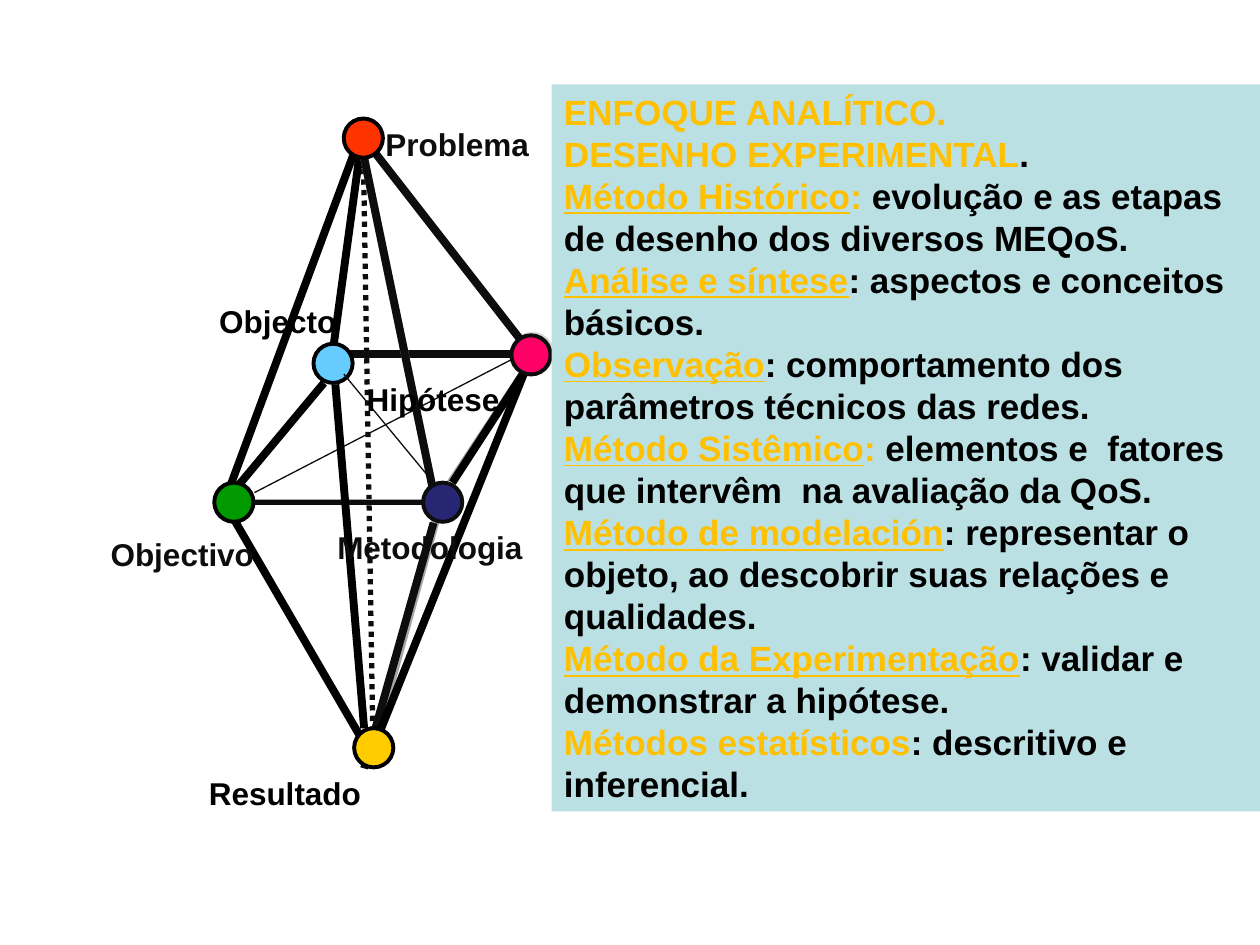
from typing import NamedTuple

from lxml.etree import SubElement
from pptx import Presentation
from pptx.dml.color import RGBColor
from pptx.enum.dml import MSO_LINE_DASH_STYLE as Dash
from pptx.enum.shapes import MSO_CONNECTOR, MSO_SHAPE
from pptx.enum.text import MSO_ANCHOR, MSO_AUTO_SIZE, PP_ALIGN
from pptx.oxml.ns import qn
from pptx.util import Cm, Pt

Point = tuple[float, float]

BLACK, INK, GREY, GOLD = "000000", "0D0D0D", "A6A6A6", "FFC000"
FONT = "Arial"
NODE_SIZE = 0.79
LABEL_HEIGHT = 1.02

# Vertices of the double pyramid, in centimetres
APEX = (7.32, 2.59)
PROBLEM = (7.32, 2.77)
PROBLEM_FOOT = (7.34, 3.18)
HYPOTHESIS = (10.72, 7.14)
OBJECTIVE = (4.52, 10.13)
METHODOLOGY = (8.74, 9.93)
RESULT = (7.52, 15.09)


class Edge(NamedTuple):
    start: Point
    end: Point
    color: str = BLACK
    width: float = 4.5
    dash: Dash | None = None


class Node(NamedTuple):
    left: float
    top: float
    fill: str
    outline: str = BLACK


class Label(NamedTuple):
    text: str
    left: float
    top: float
    width: float
    color: str = BLACK


class Method(NamedTuple):
    heading: str
    body: str
    mark: str = ""
    underline: bool = True


# From back to front
DIAGRAM = [
    Label("Problema", 7.52, 2.39, 3.81, INK),
    Edge(APEX, (6.73, 6.93)),
    Edge((6.93, 7.14), HYPOTHESIS, INK),
    Edge((6.53, 7.72), OBJECTIVE),
    Edge(HYPOTHESIS, (8.74, 10.13), GREY, 0.75),
    Edge(APEX, OBJECTIVE),
    Edge(PROBLEM, HYPOTHESIS, GREY),
    Edge(OBJECTIVE, (7.52, 15.29)),
    Edge(PROBLEM, RESULT, INK, 3, Dash.ROUND_DOT),
    Label("Objectivo", 1.98, 10.67, 3.63, INK),
    Label("Objecto", 4.17, 5.97, 3.4),
    Label("Resultado", 3.96, 15.47, 3.99),
    Edge((8.89, 10.11), RESULT, GREY),
    Edge(PROBLEM_FOOT, METHODOLOGY, GREY),
    Node(6.32, 6.93, "66CCFF"),
    Edge((5.13, 9.93), (10.52, 7.14), INK, 0.75),
    Edge((4.37, 10.11), (8.76, 10.11), GREY, 3),
    Edge((6.93, 7.54), (8.74, 9.73), INK, 0.75),
    Node(4.32, 9.73, "009900"),
    Node(10.34, 6.73, "FFFFFF", "D9D9D9"),
    Edge((10.54, 7.54), (9.12, 9.73)),
    Edge((5.13, 10.13), (8.53, 10.13), INK, 3),
    Edge(PROBLEM_FOOT, METHODOLOGY, INK),
    Edge(PROBLEM, HYPOTHESIS, INK),
    Node(6.93, 2.39, "FF3300"),
    Node(8.53, 9.73, "262673", INK),
    Edge((8.74, 10.54), (7.34, 15.49), INK),
    Edge(HYPOTHESIS, RESULT),
    Node(10.31, 6.76, "FF0066", INK),
    Node(7.14, 14.68, "FFCC00"),
    Edge((6.76, 7.75), (7.34, 14.68)),
    Label("Hipótese", 7.14, 7.54, 3.81),
    Label("Metodologia", 6.55, 10.52, 4.57, INK),
]

METHODS = [
    Method("ENFOQUE ANALÍTICO.", "", underline=False),
    Method("DESENHO EXPERIMENTAL", ".", underline=False),
    Method("Método Histórico", "evolução e as etapas de desenho dos diversos MEQoS.", ": "),
    Method("Análise e síntese", ": aspectos e conceitos básicos."),
    Method("Observação", ": comportamento dos parâmetros técnicos das redes."),
    Method("Método Sistêmico",
           "elementos e  fatores que intervêm  na avaliação da QoS.", ": "),
    Method("Método de modelación",
           ": representar o objeto, ao descobrir suas relações e qualidades."),
    Method("Método da Experimentação", ": validar e demonstrar a hipótese."),
    Method("Métodos estatísticos", ": descritivo e inferencial.", underline=False),
]


def paint(color_format, value: str) -> None:
    color_format.rgb = RGBColor.from_string(value)


def style_font(font, size: float, color: str, underline: bool = False) -> None:
    font.name, font.size, font.bold = FONT, Pt(size), True
    font.underline = underline
    paint(font.color, color)


def draw_edge(slide, edge: Edge) -> None:
    connector = slide.shapes.add_connector(
        MSO_CONNECTOR.STRAIGHT, *map(Cm, edge.start + edge.end))
    connector.line.width = Pt(edge.width)
    paint(connector.line.color, edge.color)
    if edge.dash is not None:
        connector.line.dash_style = edge.dash
    SubElement(connector._element.spPr, qn("a:effectLst"))


def draw_node(slide, node: Node) -> None:
    circle = slide.shapes.add_shape(
        MSO_SHAPE.OVAL, Cm(node.left), Cm(node.top), Cm(NODE_SIZE), Cm(NODE_SIZE))
    circle.shadow.inherit = False
    circle.fill.solid()
    paint(circle.fill.fore_color, node.fill)
    circle.line.width = Pt(2.25)
    paint(circle.line.color, node.outline)


def draw_label(slide, label: Label) -> None:
    box = slide.shapes.add_textbox(
        Cm(label.left), Cm(label.top), Cm(label.width), Cm(LABEL_HEIGHT))
    text_frame = box.text_frame
    text_frame.word_wrap = True
    text_frame.text = label.text
    style_font(text_frame.paragraphs[0].runs[0].font, 18, label.color)


def write_method(paragraph, method: Method) -> None:
    paragraph.alignment = PP_ALIGN.LEFT
    paragraph.line_spacing = Pt(24)
    for text, color, underline in (
        (method.heading, GOLD, method.underline),
        (method.mark, GOLD, False),
        (method.body, BLACK, False),
    ):
        if text:
            run = paragraph.add_run()
            run.text = text
            style_font(run.font, 20, color, underline)


def draw_panel(slide, methods: list[Method]) -> None:
    panel = slide.shapes.add_shape(
        MSO_SHAPE.RECTANGLE, Cm(11.12), Cm(1.7), Cm(14.28), Cm(14.66))
    panel.shadow.inherit = False
    panel.fill.solid()
    paint(panel.fill.fore_color, "BBE0E3")
    panel.line.fill.background()
    text_frame = panel.text_frame
    text_frame.word_wrap = True
    text_frame.auto_size = MSO_AUTO_SIZE.NONE
    text_frame.vertical_anchor = MSO_ANCHOR.TOP
    for index, method in enumerate(methods):
        paragraph = text_frame.add_paragraph() if index else text_frame.paragraphs[0]
        write_method(paragraph, method)


def main() -> None:
    presentation = Presentation()
    presentation.slide_width, presentation.slide_height = Cm(25.4), Cm(19.05)
    slide = presentation.slides.add_slide(presentation.slide_layouts[6])
    draw = {Edge: draw_edge, Node: draw_node, Label: draw_label}
    for item in DIAGRAM:
        draw[type(item)](slide, item)
    draw_panel(slide, METHODS)
    presentation.save("out.pptx")


if __name__ == "__main__":
    main()
